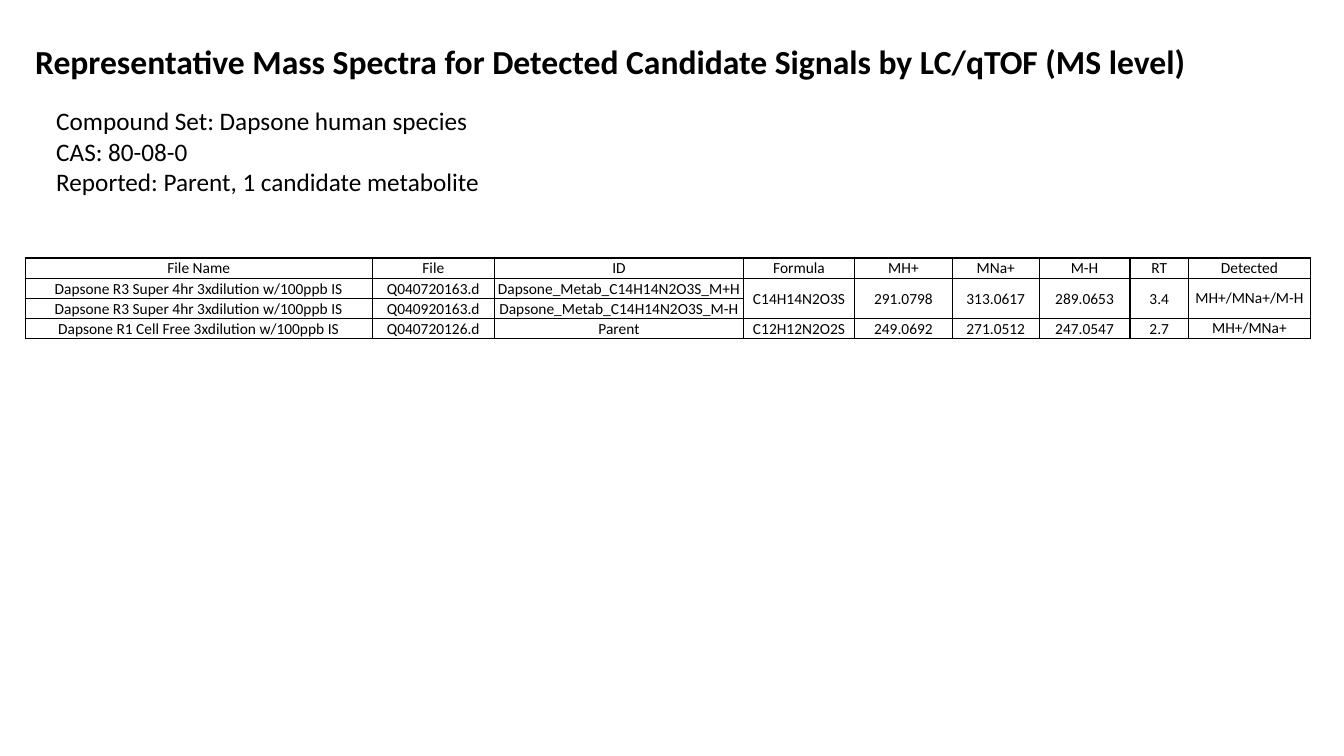
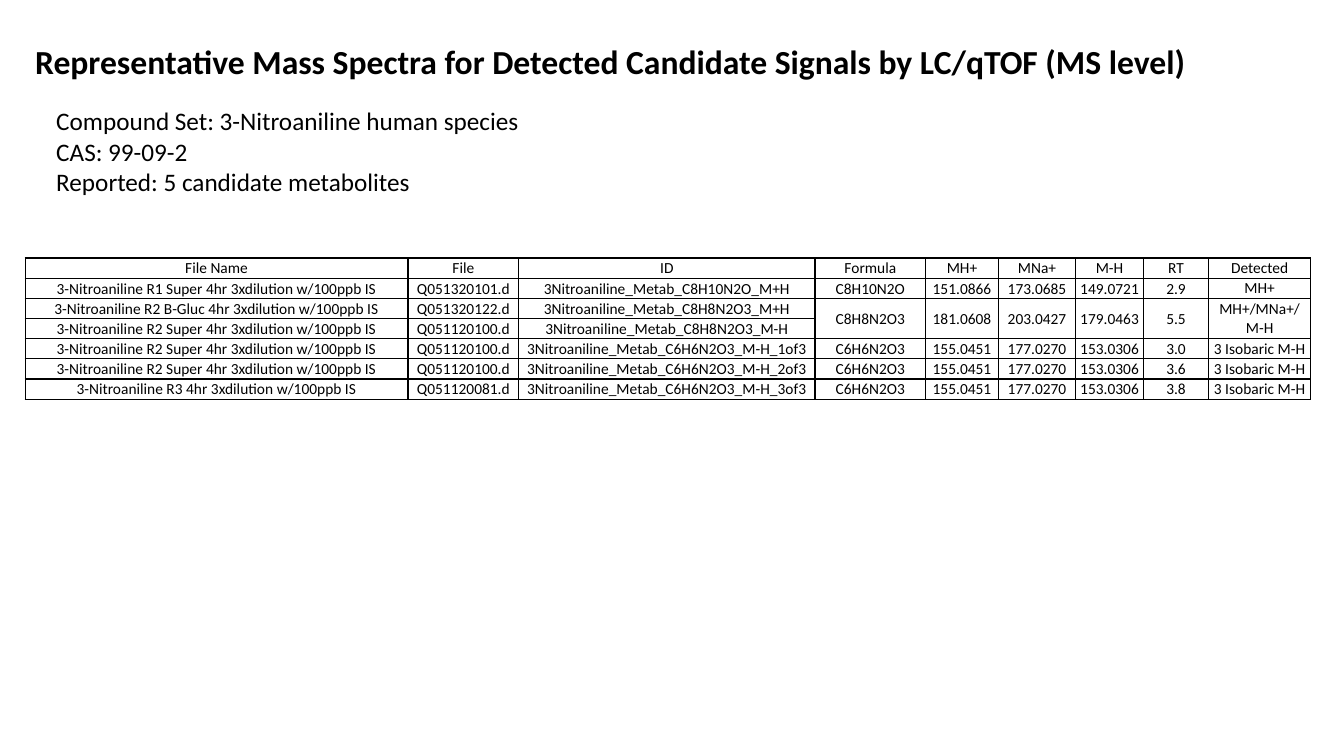
import pptx
import pptx.dml.color
import pptx.enum.text
import pptx.oxml
import pptx.oxml.ns
import pptx.util
from lxml import etree

Inches, Pt = pptx.util.Inches, pptx.util.Pt
ALIGN, ANCHOR = pptx.enum.text.PP_ALIGN, pptx.enum.text.MSO_ANCHOR

# Shared style
BLACK = pptx.dml.color.RGBColor(0x00, 0x00, 0x00)
FONT = "Calibri"
WIDTH, HEIGHT = 13.33, 7.5
MARGIN, CONTENT_W = 0.25, 12.75
TABLE_TOP, ROW_H = 2.56, 0.2

# Content: None in a row continues the cell above
TITLE = ("Representative Mass Spectra for Detected Candidate Signals "
         "by LC/qTOF (MS level)")
HEADER = ("File Name", "File", "ID", "Formula", "MH+", "MNa+", "M-H", "RT", "Detected")
MERGED = (None,) * 6
ISOBARIC = ("C6H6N2O3", "155.0451", "177.0270", "153.0306")

SLIDES = [
    dict(
        summary=["Compound Set: Dapsone human species",
                 "CAS: 80-08-0",
                 "Reported: Parent, 1 candidate metabolite"],
        anchor=ANCHOR.MIDDLE,
        columns=(3.44, 1.21, 2.47, 1.1, 0.97, 0.86, 0.9, 0.58, 1.21),
        rows=[
            ("Dapsone R3 Super 4hr 3xdilution w/100ppb IS", "Q040720163.d",
             "Dapsone_Metab_C14H14N2O3S_M+H", "C14H14N2O3S",
             "291.0798", "313.0617", "289.0653", "3.4", "MH+/MNa+/M-H"),
            ("Dapsone R3 Super 4hr 3xdilution w/100ppb IS", "Q040920163.d",
             "Dapsone_Metab_C14H14N2O3S_M-H", *MERGED),
            ("Dapsone R1 Cell Free 3xdilution w/100ppb IS", "Q040720126.d",
             "Parent", "C12H12N2O2S",
             "249.0692", "271.0512", "247.0547", "2.7", "MH+/MNa+"),
        ],
    ),
    dict(
        summary=["Compound Set: 3-Nitroaniline human species",
                 "CAS: 99-09-2",
                 "Reported: 5 candidate metabolites"],
        anchor=ANCHOR.BOTTOM,
        columns=(3.8, 1.1, 2.94, 1.1, 0.72, 0.77, 0.67, 0.65, 1.01),
        rows=[
            ("3-Nitroaniline R1 Super 4hr 3xdilution w/100ppb IS", "Q051320101.d",
             "3Nitroaniline_Metab_C8H10N2O_M+H", "C8H10N2O",
             "151.0866", "173.0685", "149.0721", "2.9", "MH+"),
            ("3-Nitroaniline R2 B-Gluc 4hr 3xdilution w/100ppb IS", "Q051320122.d",
             "3Nitroaniline_Metab_C8H8N2O3_M+H", "C8H8N2O3",
             "181.0608", "203.0427", "179.0463", "5.5", "MH+/MNa+/ M-H"),
            ("3-Nitroaniline R2 Super 4hr 3xdilution w/100ppb IS", "Q051120100.d",
             "3Nitroaniline_Metab_C8H8N2O3_M-H", *MERGED),
            ("3-Nitroaniline R2 Super 4hr 3xdilution w/100ppb IS", "Q051120100.d",
             "3Nitroaniline_Metab_C6H6N2O3_M-H_1of3", *ISOBARIC, "3.0", "3 Isobaric M-H"),
            ("3-Nitroaniline R2 Super 4hr 3xdilution w/100ppb IS", "Q051120100.d",
             "3Nitroaniline_Metab_C6H6N2O3_M-H_2of3", *ISOBARIC, "3.6", "3 Isobaric M-H"),
            ("3-Nitroaniline R3 4hr 3xdilution w/100ppb IS", "Q051120081.d",
             "3Nitroaniline_Metab_C6H6N2O3_M-H_3of3", *ISOBARIC, "3.8", "3 Isobaric M-H"),
        ],
    ),
]


def write(tf, lines, size, bold=False, align=ALIGN.LEFT):
    """Fill a text frame, one paragraph per line."""
    tf.word_wrap = True
    for i, line in enumerate(lines):
        p = tf.add_paragraph() if i else tf.paragraphs[0]
        p.alignment = align
        r = p.add_run()
        r.text = line
        r.font.name, r.font.size, r.font.bold = FONT, Pt(size), bold
        r.font.color.rgb = BLACK


def add_text(slide, lines, box, **style):
    sp = slide.shapes.add_textbox(*map(Inches, box))
    write(sp.text_frame, lines, **style)
    sp.text_frame.auto_size = pptx.enum.text.MSO_AUTO_SIZE.SHAPE_TO_FIT_TEXT


def add_borders(cell):
    """Draw a 1 pt black line on all four sides."""
    tc_pr = cell._tc.get_or_add_tcPr()
    for i, side in enumerate(("lnL", "lnR", "lnT", "lnB")):
        ln = etree.Element(pptx.oxml.ns.qn(f"a:{side}"), w=str(Pt(1)))
        fill = etree.SubElement(ln, pptx.oxml.ns.qn("a:solidFill"))
        etree.SubElement(fill, pptx.oxml.ns.qn("a:srgbClr"), val=str(BLACK))
        tc_pr.insert(i, ln)


def add_signal_table(slide, columns, rows, anchor):
    rows = [HEADER, *rows]
    box = (MARGIN, TABLE_TOP, CONTENT_W, ROW_H * len(rows))
    table = slide.shapes.add_table(len(rows), len(columns), *map(Inches, box)).table
    table.first_row = table.horz_banding = False
    for column, share in zip(table.columns, columns):
        column.width = Inches(CONTENT_W * share / sum(columns))
    for y, row in enumerate(rows):
        table.rows[y].height = Inches(ROW_H)
        for x, text in enumerate(row):
            cell = table.cell(y, x)
            cell.fill.background()
            add_borders(cell)
            # Header, last column and merged cells stay centred vertically
            plain = y == 0 or x == len(row) - 1
            spans = y + 1 < len(rows) and rows[y + 1][x] is None
            inset = Inches(0 if plain else 0.01)
            cell.margin_left = cell.margin_right = cell.margin_top = inset
            cell.margin_bottom = 0
            cell.vertical_anchor = ANCHOR.MIDDLE if plain or spans else anchor
            if text is None:
                table.cell(y - 1, x).merge(cell)
            else:
                write(cell.text_frame, [text], size=11, align=ALIGN.CENTER)


def main():
    prs = pptx.Presentation()
    prs.slide_width, prs.slide_height = Inches(WIDTH), Inches(HEIGHT)
    for content in SLIDES:
        slide = prs.slides.add_slide(prs.slide_layouts[6])
        add_signal_table(slide, content["columns"], content["rows"], content["anchor"])
        add_text(slide, content["summary"], (0.46, 1, 7.44, 1.31), size=18)
        add_text(slide, [TITLE], (MARGIN, 0.36, CONTENT_W, 0.5), size=24, bold=True)
    prs.save("out.pptx")


if __name__ == "__main__":
    main()
